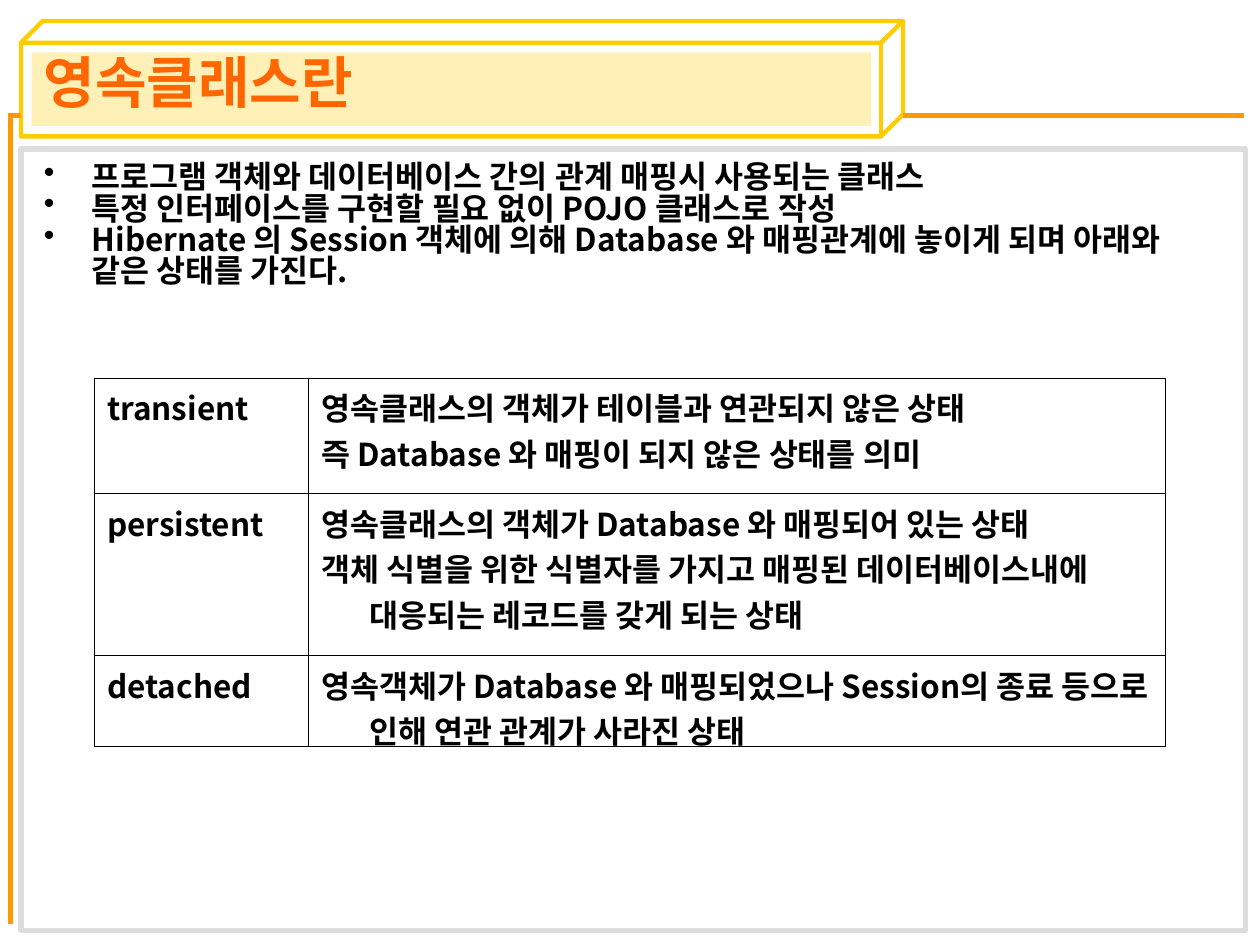
from lxml import etree
from pptx import Presentation
from pptx.dml.color import RGBColor
from pptx.enum.shapes import MSO_CONNECTOR, MSO_SHAPE
from pptx.enum.text import MSO_ANCHOR
from pptx.oxml import parse_xml
from pptx.oxml.ns import nsdecls, qn
from pptx.util import Inches, Pt

CUBE, RECTANGLE = MSO_SHAPE.CUBE, MSO_SHAPE.RECTANGLE
STRAIGHT = MSO_CONNECTOR.STRAIGHT
TOP, MIDDLE = MSO_ANCHOR.TOP, MSO_ANCHOR.MIDDLE
FONT = "Noto Sans CJK KR"
COLORS = {"yellow": "FFCC00", "orange": "FF9900", "title": "FF6600",
          "frame": "DDDDDD", "text": "000000"}
HANGING = Inches(0.38)


def grid(*units):
    """Turn grid units, twelve to the inch, into lengths."""
    return [Inches(unit / 12) for unit in units]


def write(text_frame, lines, size=18, color="text", anchor=TOP, spacing=1.0,
          hanging=True, bullet=False):
    text_frame.word_wrap = True
    text_frame.vertical_anchor = anchor
    for index, line in enumerate(lines):
        paragraph = text_frame.paragraphs[0] if index == 0 else text_frame.add_paragraph()
        paragraph.line_spacing = spacing
        properties = paragraph._p.get_or_add_pPr()
        if hanging:
            properties.set("marL", str(HANGING))
            properties.set("indent", str(-HANGING))
        if bullet:
            etree.SubElement(properties, qn("a:buChar"), char="•")
        run = paragraph.add_run()
        run.text = line
        run.font.size = Pt(size)
        run.font.bold = True
        run.font.name = FONT
        run.font.color.rgb = RGBColor.from_string(COLORS[color])
        etree.SubElement(run.font._element, qn("a:ea"), typeface=FONT)


presentation = Presentation()
presentation.slide_width, presentation.slide_height = grid(120, 90)
slide = presentation.slides.add_slide(presentation.slide_layouts[6])

# Title block, orange rules and content frame
boxes = [
    (CUBE, (2, 2, 84, 11), "yellow", 2.5),
    (RECTANGLE, (3, 5, 80, 7), "yellow", None),
    (RECTANGLE, (2, 14.2, 116.6, 74.4), "frame", 3),
]
for kind, place, color, line_width in boxes:
    shape = slide.shapes.add_shape(kind, *grid(*place))
    shape.shadow.inherit = False
    if kind == CUBE:
        shape.adjustments[0] = 0.19
    if line_width:
        shape.fill.background()
        shape.line.color.rgb = RGBColor.from_string(COLORS[color])
        shape.line.width = Pt(line_width)
    else:
        shape.line.fill.background()
        shape.fill.solid()
        shape.fill.fore_color.rgb = RGBColor.from_string(COLORS[color])
        fill_color = shape._element.spPr.find(".//" + qn("a:srgbClr"))
        etree.SubElement(fill_color, qn("a:alpha"), val="28000")

for ends in [(1, 11, 1, 88), (86, 11, 118.5, 11), (0.8, 11, 2, 11)]:
    rule = slide.shapes.add_connector(STRAIGHT, *grid(*ends))
    rule.line.color.rgb = RGBColor.from_string(COLORS["orange"])
    rule.line.width = Pt(2.5)
    etree.SubElement(rule._element.spPr, qn("a:effectLst"))

# Title and bullets
title = slide.shapes.add_textbox(*grid(3, 4.5, 108, 6.4)).text_frame
title.margin_top = title.margin_bottom = 0
write(title, ["영속클래스란"], size=32, color="title", anchor=MIDDLE, hanging=False)

bullets = slide.shapes.add_textbox(*grid(3, 15, 110, 15.6)).text_frame
write(bullets, [
    "프로그램 객체와 데이터베이스 간의 관계 매핑시 사용되는 클래스",
    "특정 인터페이스를 구현할 필요 없이 POJO 클래스로 작성",
    "Hibernate 의 Session 객체에 의해 Database 와 매핑관계에 놓이게 되며 아래와 같은 상태를 가진다.",
], spacing=0.83, bullet=True)

# Table of object states
states = [
    ("transient", ["영속클래스의 객체가 테이블과 연관되지 않은 상태",
                   "즉 Database 와 매핑이 되지 않은 상태를 의미"]),
    ("persistent", ["영속클래스의 객체가 Database 와 매핑되어 있는 상태",
                    "객체 식별을 위한 식별자를 가지고 매핑된 데이터베이스내에 대응되는 레코드를 갖게 되는 상태"]),
    ("detached", ["영속객체가 Database 와 매핑되었으나 Session의 종료 등으로 인해 연관 관계가 사라진 상태"]),
]
column_widths = grid(20.4, 81.6)
row_heights = grid(11, 15.4, 8.7)
table = slide.shapes.add_table(len(states), 2, *grid(9, 36),
                               sum(column_widths), sum(row_heights)).table
table.first_row = table.horz_banding = False
for column, width in zip(table.columns, column_widths):
    column.width = width
for row, height, (name, meaning) in zip(table.rows, row_heights, states):
    row.height = height
    for cell, lines in zip(row.cells, ([name], meaning)):
        write(cell.text_frame, lines)
        cell.margin_bottom = 0
        properties = cell._tc.get_or_add_tcPr()
        for side in ("lnL", "lnR", "lnT", "lnB"):
            properties.append(parse_xml(
                f'<a:{side} {nsdecls("a")} w="{Pt(0.45)}"><a:solidFill>'
                f'<a:srgbClr val="{COLORS["text"]}"/></a:solidFill></a:{side}>'))
        cell.fill.background()

presentation.save("out.pptx")
